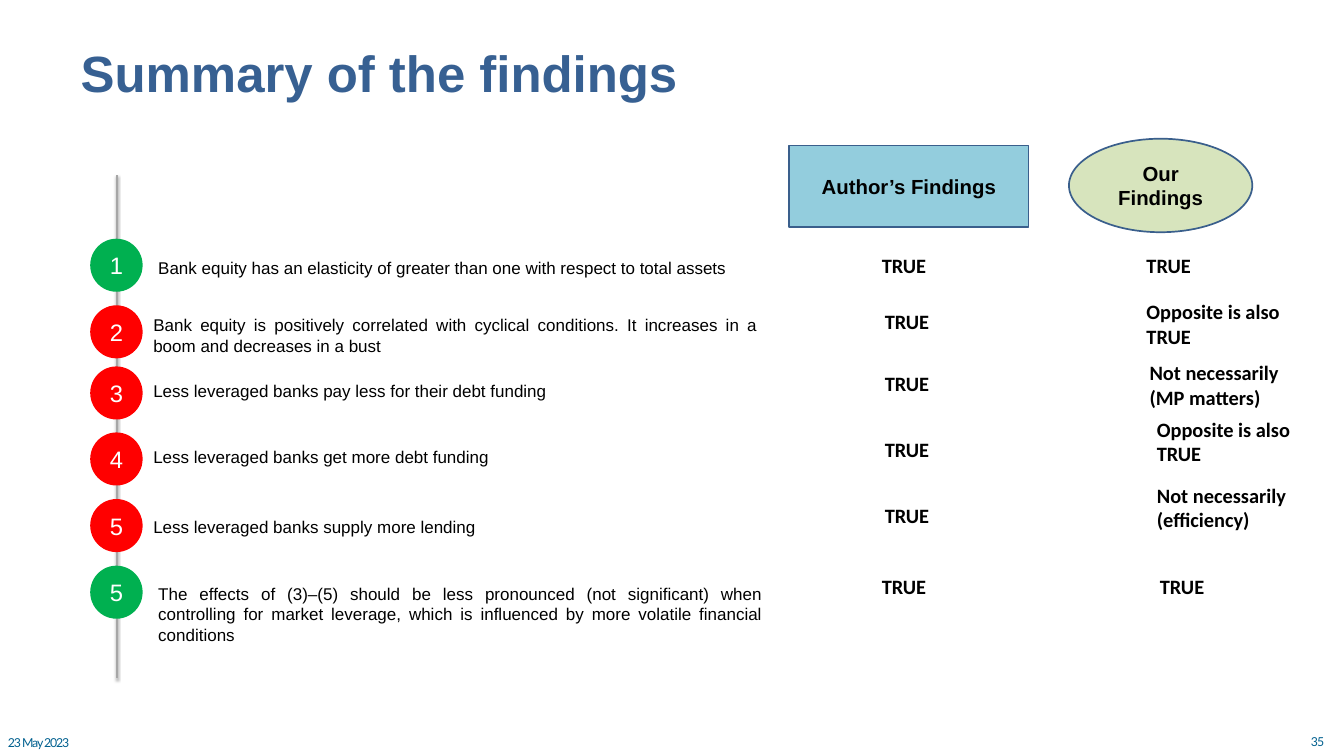
from lxml.etree import SubElement
from pptx import Presentation
from pptx.dml.color import RGBColor
from pptx.enum.shapes import MSO_CONNECTOR, MSO_SHAPE
from pptx.enum.text import MSO_ANCHOR, MSO_AUTO_SIZE, PP_ALIGN
from pptx.oxml.ns import qn
from pptx.util import Pt

SCALE = 9144  # EMU per px, 100 px to the inch
LEFT, MID, JUST = PP_ALIGN.LEFT, PP_ALIGN.CENTER, PP_ALIGN.JUSTIFY
GREEN, RED, BLUE = "00B050", "FF0000", "3A5F8C"
TRUE, ALSO = "TRUE", "Opposite is also TRUE"

# number, colour, disc top, (statement, left, top, height, alignment),
# (author left, top), (our finding, left, top, width)
ROWS = [
    ("1", GREEN, 392,
     ("Bank equity has an elasticity of greater than one with respect to total assets",
      249, 416, 44, JUST), (1433, 410), (TRUE, 1866, 410, 153)),
    ("2", RED, 501,
     ("Bank equity is positively correlated with cyclical conditions. "
      "It increases in a boom and decreases in a bust",
      241, 510, 77, JUST), (1438, 501), (ALSO, 1866, 485, 250)),
    ("3", RED, 601,
     ("Less leveraged banks pay less for their debt funding",
      241, 618, 44, LEFT), (1438, 602), ("Not necessarily (MP matters)", 1871, 585, 270)),
    ("4", RED, 709,
     ("Less leveraged banks get more debt funding",
      241, 725, 44, LEFT), (1438, 710), (ALSO, 1883, 677, 247)),
    ("5", RED, 818,
     ("Less leveraged banks supply more lending",
      241, 841, 44, LEFT), (1438, 818), ("Not necessarily (efficiency)", 1883, 785, 247)),
    ("5", GREEN, 927,
     ("The effects of (3)–(5) should be less pronounced (not significant) when controlling "
      "for market leverage, which is influenced by more volatile financial conditions",
      249, 950, 111, JUST), (1433, 935), (TRUE, 1888, 935, 153)),
]


def px(*vals):
    return [val * SCALE for val in vals]


def tint(code):
    return RGBColor.from_string(code)


def write(shape, text, size=20, font="Arial", color="000000", bold=False,
          align=LEFT, anchor=MSO_ANCHOR.TOP, inset=True, track=0):
    """Fill the shape with one formatted paragraph; track is in 1/100 pt."""
    frame = shape.text_frame
    frame.word_wrap = True
    frame.auto_size = MSO_AUTO_SIZE.NONE
    frame.vertical_anchor = anchor
    if not inset:
        frame.margin_left = frame.margin_right = 0
        frame.margin_top = frame.margin_bottom = 0
    para = frame.paragraphs[0]
    para.alignment = align
    run = para.add_run()
    run.text = text
    run.font.size, run.font.name, run.font.bold = Pt(size), font, bold
    run.font.color.rgb = tint(color)
    if track:
        run.font._element.set("spc", str(track))


class Deck:
    def __init__(self, wide, high):
        self.show = Presentation()
        self.show.slide_width, self.show.slide_height = px(wide, high)
        self.slide = self.show.slides.add_slide(self.show.slide_layouts[5])
        self.shapes = self.slide.shapes

    def title(self, text, box):
        head = self.shapes.title
        head.left, head.top, head.width, head.height = px(*box)
        write(head, text, size=60, color="376092", bold=True, inset=False)

    def text(self, text, box, **style):
        write(self.shapes.add_textbox(*px(*box)), text, **style)

    def shape(self, kind, text, box, fill, edge, **style):
        item = self.shapes.add_shape(kind, *px(*box))
        item.shadow.inherit = False
        item.fill.solid()
        item.fill.fore_color.rgb = tint(fill)
        item.line.color.rgb = tint(edge)
        item.line.width = Pt(2)
        write(item, text, align=MID, anchor=MSO_ANCHOR.MIDDLE, **style)

    def rule(self, ends, color):
        """Draw a line with a soft shadow below it."""
        line = self.shapes.add_connector(MSO_CONNECTOR.STRAIGHT, *px(*ends))
        line.line.color.rgb = tint(color)
        line.line.width = Pt(2)
        fx = SubElement(line._element.spPr, qn("a:effectLst"))
        cast = SubElement(fx, qn("a:outerShdw"), blurRad=str(Pt(3.1)),
                          dist=str(Pt(1.6)), dir="5400000", rotWithShape="0")
        shade = SubElement(cast, qn("a:srgbClr"), val="000000")
        SubElement(shade, qn("a:alpha"), val="38000")


def main():
    deck = Deck(2199, 1237)
    deck.title("Summary of the findings", (132, 68, 1342, 101))

    small = dict(size=14.5, font="Lato", color="00608F", inset=False, track=-130)
    deck.text("35", (2145, 1202, 41, 25), **small)
    deck.text("23 May 2023", (13, 1203, 146, 25), **small)

    deck.rule((191, 287, 191, 1110), "A6A6A6")
    label = dict(size=24, bold=True)
    deck.shape(MSO_SHAPE.OVAL, "Our Findings", (1749, 227, 300, 153),
               "D7E4BD", BLUE, **label)
    deck.shape(MSO_SHAPE.RECTANGLE, "Author’s Findings", (1291, 238, 392, 134),
               "93CDDD", BLUE, **label)

    mark = dict(label, font="Calibri")
    for num, color, top, claim, author, ours in ROWS:
        deck.shape(MSO_SHAPE.OVAL, num, (149, top, 83, 84), color, color,
                   size=28, color="FFFFFF")
        words, left, high, tall, align = claim
        deck.text(words, (left, high, 1008, tall), align=align)
        deck.text(TRUE, (*author, 153, 50), **mark)
        words, left, high, wide = ours
        deck.text(words, (left, high, wide, 50 if words == TRUE else 91), **mark)

    deck.show.save("out.pptx")


if __name__ == "__main__":
    main()
